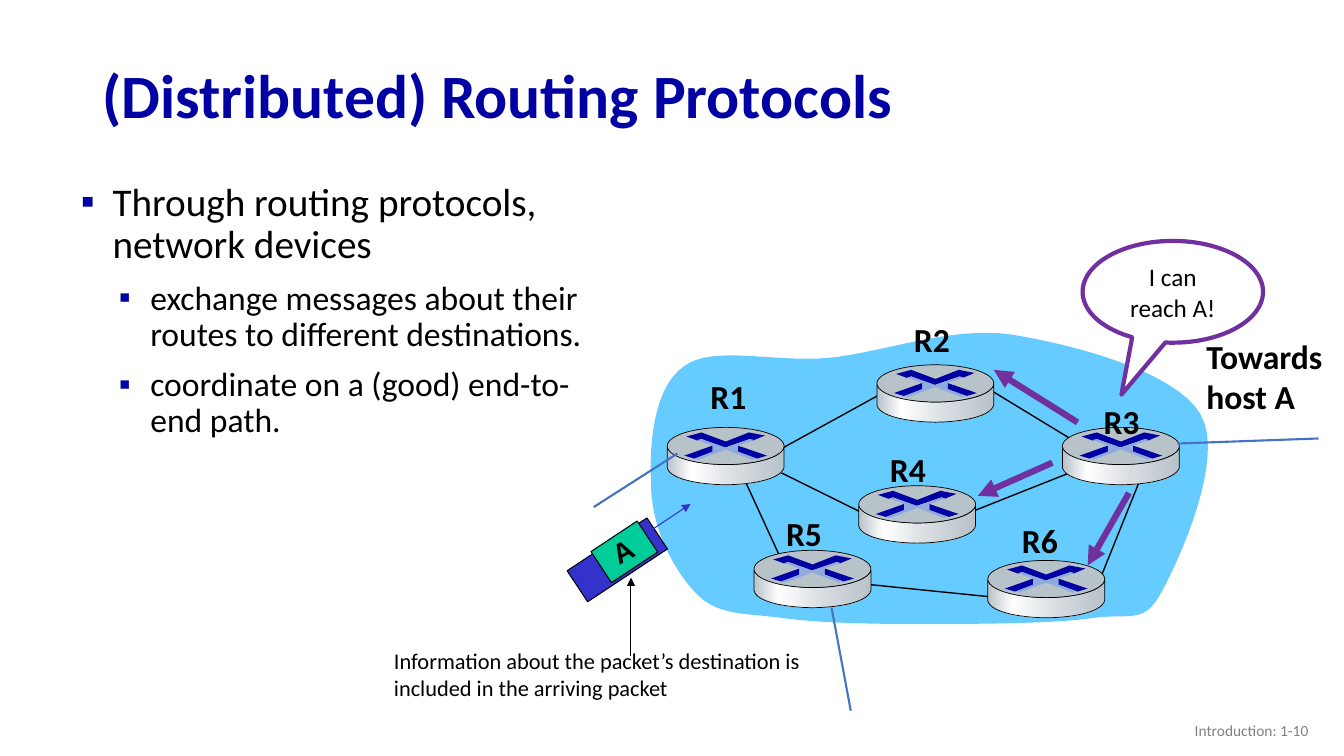
from lxml import etree
from pptx import Presentation
from pptx.dml.color import RGBColor
from pptx.enum.shapes import MSO_CONNECTOR, MSO_SHAPE
from pptx.enum.text import MSO_ANCHOR, PP_ALIGN
from pptx.oxml.ns import qn
from pptx.util import Pt

LINE = MSO_CONNECTOR.STRAIGHT
RECT, OVAL = MSO_SHAPE.RECTANGLE, MSO_SHAPE.OVAL
BUBBLE = MSO_SHAPE.OVAL_CALLOUT
MID, TOP = MSO_ANCHOR.MIDDLE, MSO_ANCHOR.TOP
LEFT, RIGHT, CENTER = PP_ALIGN.LEFT, PP_ALIGN.RIGHT, PP_ALIGN.CENTER

NAVY, BLACK, PURPLE, INDIGO = "0000A3", "000000", "7030A0", "3333CC"
STEEL = "B8C2C9"
METAL = [(0, STEEL), (21, "FFFFFF"), (60, "D6DCE0"), (100, STEEL)]

# Six numbers make a curve, two make a straight segment
CLOUD = [(465, 343.5),
         (463.7, 316, 467.3, 275.8, 488.9, 261.4),
         (509.8, 246.2, 553, 259.2, 591.8, 255.6),
         (630.7, 252, 678.2, 232.6, 722.9, 239),
         (766.8, 246.2, 839.5, 265, 857.5, 295.9),
         (875.5, 326.2, 843.1, 398.2, 830.2, 421.9),
         (817.2, 446.4, 809.3, 437.8, 780.5, 441.4),
         (751.7, 445.7, 693.4, 445.7, 656.6, 445.7),
         (619.9, 445.7, 585.4, 445, 558.7, 441.4),
         (532.1, 437.8, 511.9, 439.9, 496.8, 423.4),
         (481, 406.8, 464.4, 375.8, 465, 343.5)]

# Router parts, measured from the router's top left corner
SIDE = [(83.5, 14.4), (83.5, 28.8), (80.6, 38.2, 56.2, 41, 41.8, 41),
        (28.1, 41, 2.2, 38.2, 0, 28.8), (0, 14.4),
        (3.6, 22.3, 27.4, 26.6, 41.8, 26.6),
        (55.4, 26.6, 79.9, 23.8, 83.5, 14.4)]
MARKS = [
    (NAVY, [(58.3, 3.6), (69.8, 5.8), (61.2, 9.4), (59, 8.3), (41, 14.4),
            (24.5, 8.3), (21.6, 9.4), (13.7, 6.5), (24.5, 3.6), (41.8, 10.1)]),
    (NAVY, [(50.4, 13), (71.3, 20.2), (64.1, 22.3), (50.4, 17.3)]),
    ("0000A8", [(32.4, 13), (32.4, 17.6), (19.4, 22.3), (12.2, 20.2)]),
    ("8FAADC", [(21.6, 9), (24.5, 8.3), (41.8, 14.4), (59, 8.3), (61.9, 9),
                (50.4, 13), (50.4, 17.3), (64.1, 22.3), (60.5, 23),
                (41.8, 15.8), (22.3, 23), (19.4, 22.3), (32.4, 17.3),
                (32.4, 13)]),
]

# Name, router corner, label corner
ROUTERS = [("R1", (476.6, 305.3), (500.4, 265)),
           ("R2", (626.4, 260.6), (645.8, 223.9)),
           ("R3", (758.9, 305.3), (781.2, 283)),
           ("R4", (613.4, 347), (628.6, 316.8)),
           ("R5", (538.6, 393.1), (554.4, 362.9)),
           ("R6", (705.6, 400.3), (722.9, 367.9))]
LINKS = [(555.8, 321.8, 634.3, 278.6), (706.3, 277.9, 779.8, 322.6),
         (552.2, 334.8, 622.1, 369.4), (689.8, 367.2, 780.5, 331.2),
         (786.2, 412.6, 815.8, 339.1), (714.2, 427, 607.7, 416.2),
         (558, 399.6, 529.9, 338.4)]
EDGES = [(941.8, 313.2, 841, 316.8), (607.7, 507.6, 594, 434.2),
         (483.8, 324, 424.1, 362.2)]
ADVERTS = [(769.7, 301.7, 709.9, 264.2), (751.7, 330.5, 698.4, 354.2),
           (806.4, 352.1, 776.9, 403.9)]
POINTS = [(0, "Through routing protocols, network devices"),
          (1, "exchange messages about their routes to different destinations."),
          (1, "coordinate on a (good) end-to-end path.")]


def color(code):
    return RGBColor.from_string(code)


def apply(item, values):
    for name, value in values.items():
        setattr(item, name, value)


def node(parent, tag, **attrs):
    return etree.SubElement(parent, qn(tag), attrs)


def paint(shape, fill, edge=None, width=0.5):
    shape.shadow.inherit = False
    shape.fill.solid()
    shape.fill.fore_color.rgb = color(fill)
    if edge:
        shape.line.color.rgb = color(edge)
        shape.line.width = Pt(width)
    else:
        shape.line.fill.background()


def shade(shape, stops):
    shape.fill.gradient()
    shape.fill.gradient_angle = 0
    ramp = shape._element.spPr.find(qn("a:gradFill")).find(qn("a:gsLst"))
    for old in list(ramp):
        ramp.remove(old)
    for pos, code in stops:
        stop = node(ramp, "a:gs", pos=str(pos * 1000))
        node(stop, "a:srgbClr", val=code)


def trace(path, steps=16):
    dots = [path[0]]
    for part in path[1:]:
        if len(part) == 2:
            dots.append(part)
            continue
        x, y = dots[-1]
        a, b, c, d, e, f = part
        for i in range(1, steps + 1):
            t = i / steps
            u = 1 - t
            w = (u ** 3, 3 * u * u * t, 3 * u * t * t, t ** 3)
            dots.append((sum(p * q for p, q in zip(w, (x, a, c, e))),
                         sum(p * q for p, q in zip(w, (y, b, d, f)))))
    return dots


def outline(slide, path, fill, edge=None, at=(0, 0)):
    dots = [(Pt(x + at[0]), Pt(y + at[1])) for x, y in trace(path)]
    form = slide.shapes.build_freeform(*dots[0])
    form.add_line_segments(dots[1:], close=True)
    shape = form.convert_to_shape()
    paint(shape, fill, edge)
    return shape


def block(slide, kind, box, fill, edge, width, turn=0):
    shape = slide.shapes.add_shape(kind, *map(Pt, box))
    paint(shape, fill, edge, width)
    shape.rotation = turn
    return shape


def wire(slide, ends, code, width, arrow=False):
    line = slide.shapes.add_connector(LINE, *map(Pt, ends))
    line.line.color.rgb = color(code)
    line.line.width = Pt(width)
    if arrow:
        node(line.line._get_or_add_ln(), "a:tailEnd", type="triangle")
    node(line._element.spPr, "a:effectLst")


def write(para, text, size, code=BLACK, bold=False, face="Calibri"):
    run = para.add_run()
    run.text = text
    apply(run.font, {"name": face, "size": Pt(size), "bold": bold})
    run.font.color.rgb = color(code)


def label(slide, box, text, size, align=LEFT, anchor=TOP, wrap=True, **look):
    shape = slide.shapes.add_textbox(*map(Pt, box))
    apply(shape.text_frame, {"word_wrap": wrap, "vertical_anchor": anchor})
    para = shape.text_frame.paragraphs[0]
    para.alignment = align
    write(para, text, size, **look)
    return shape


def bullets(slide, box, items):
    frame = slide.shapes.add_textbox(*map(Pt, box)).text_frame
    frame.word_wrap = True
    for i, (level, text) in enumerate(items):
        para = frame.add_paragraph() if i else frame.paragraphs[0]
        props = para._p.get_or_add_pPr()
        props.set("marL", str(Pt(31.5 + 27 * level)))
        props.set("indent", str(Pt(-22.5)))
        node(node(props, "a:buClr"), "a:srgbClr", val=NAVY)
        node(props, "a:buFont", typeface="Arial")
        node(props, "a:buChar", char="▪")
        apply(para, {"level": level, "line_spacing": 0.9,
                     "space_before": Pt(10 if i else 0)})
        write(para, text, 28 - 4 * level)


def router(slide, at):
    shade(outline(slide, SIDE, STEEL, BLACK, at), METAL)
    block(slide, OVAL, (*at, 83.5, 26.6), STEEL, BLACK, 0.5)
    for fill, path in MARKS:
        outline(slide, path, fill, at=at)


def packet(slide):
    block(slide, RECT, (406.8, 386.6, 68.4, 26.6), INDIGO, BLACK, 0.75, -33.5)
    wire(slide, (460.8, 381.6, 493.2, 360), INDIGO, 0.75, True)
    block(slide, RECT, (426.2, 380.9, 39.6, 26.6), "00CC99", BLACK, 0.75, -33.5)
    mark = label(slide, (430.6, 378, 29.5, 31.7), "A", 20, wrap=False,
                 bold=True, face="Arial")
    mark.rotation = -28.7
    label(slide, (274.3, 458.6, 324.7, 46), "Information about the packet’s "
          "destination is included in the arriving packet", 16)
    wire(slide, (450.7, 468.7, 450.7, 412.6), BLACK, 0.75, True)


def bubble(slide):
    shape = block(slide, BUBBLE, (773.3, 172.1, 128.9, 72.7),
                  "FFFFFF", PURPLE, 3)
    shape.adjustments[0], shape.adjustments[1] = -0.285, 1.011
    apply(shape.text_frame, {"word_wrap": True, "vertical_anchor": MID})
    para = shape.text_frame.paragraphs[0]
    para.alignment = CENTER
    write(para, "I can reach A!", 18)


def main():
    deck = Presentation()
    apply(deck, {"slide_width": Pt(960), "slide_height": Pt(540)})
    slide = deck.slides.add_slide(deck.slide_layouts[6])

    # Title
    label(slide, (66, 35.3, 828, 70.6), "(Distributed) Routing Protocols", 44,
          anchor=MID, code=NAVY, bold=True).text_frame.paragraphs[0].line_spacing = 0.9

    # Network
    outline(slide, CLOUD, "66CCFF")
    for ends in LINKS:
        wire(slide, ends, BLACK, 1)
    for _, at, _ in ROUTERS:
        router(slide, at)
    for ends in EDGES:
        wire(slide, ends, "4472C4", 1.5)
    packet(slide)

    # Labels and route adverts
    label(slide, (854.6, 236.2, 108.7, 65.5), "Towards host A", 24, bold=True)
    for name, _, at in ROUTERS:
        label(slide, (*at, 47, 36), name, 24, bold=True)
    bubble(slide)
    for ends in ADVERTS:
        wire(slide, ends, PURPLE, 4.5, True)

    # Body and footer
    bullets(slide, (41.8, 126.7, 408.2, 296), POINTS)
    label(slide, (725.8, 507.6, 216, 28.8), "Introduction: 1-10", 11,
          align=RIGHT, anchor=MID, code="808080")
    deck.save("out.pptx")


if __name__ == "__main__":
    main()
